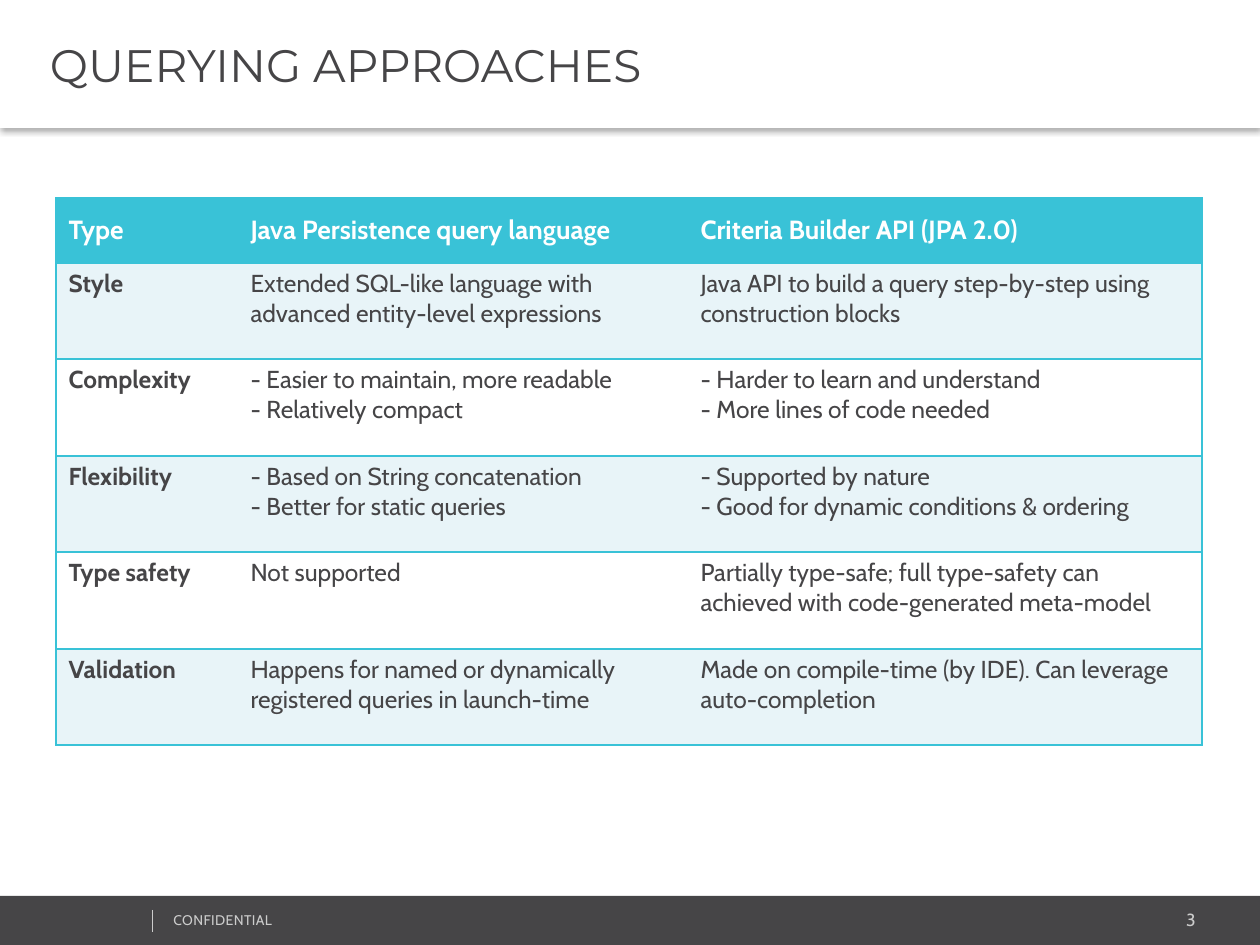
from lxml import etree
from pptx import Presentation
from pptx.dml.color import RGBColor
from pptx.enum.shapes import MSO_CONNECTOR, MSO_SHAPE
from pptx.enum.text import MSO_ANCHOR, PP_ALIGN
from pptx.oxml import parse_xml
from pptx.oxml.ns import nsdecls, qn
from pptx.util import Emu, Pt

RECT = MSO_SHAPE.RECTANGLE
STRAIGHT = MSO_CONNECTOR.STRAIGHT
TOP, MIDDLE = MSO_ANCHOR.TOP, MSO_ANCHOR.MIDDLE
LEFT, RIGHT = PP_ALIGN.LEFT, PP_ALIGN.RIGHT
DARK = RGBColor(0x46, 0x45, 0x47)
GREY = RGBColor(0xCC, 0xCC, 0xCC)
TEAL = RGBColor(0x39, 0xC2, 0xD7)
PALE = RGBColor(0xE8, 0xF4, 0xF8)
WHITE = RGBColor(0xFF, 0xFF, 0xFF)
SCALE = 914400 / 126


def px(*values):
    return [Emu(round(v * SCALE)) for v in values]


def write(tf, text, align, size, name, color, bold=False):
    tf.text = text
    for p in tf.paragraphs:
        p.alignment = align
        for r in p.runs:
            style = {"size": Pt(size), "name": name, "bold": bold}
            for key, value in style.items():
                setattr(r.font, key, value)
            r.font.color.rgb = color


prs = Presentation()
prs.slide_width, prs.slide_height = px(1260, 945)
s = prs.slides.add_slide(prs.slide_layouts[6])

bars = []
for box, color in [((0, 896, 1260, 50), DARK), ((0, 0, 1260, 128), WHITE)]:
    sp = s.shapes.add_shape(RECT, *px(*box))
    sp.shadow.inherit = False
    sp.fill.solid()
    sp.fill.fore_color.rgb = color
    sp.line.fill.background()
    bars.append(sp)

title = bars[1]
title.element.spPr.find(qn("a:effectLst")).append(parse_xml(
    f'<a:outerShdw {nsdecls("a")} blurRad="39370" dist="25400" dir="5400000" '
    'algn="t" rotWithShape="0"><a:srgbClr val="000000"><a:alpha val="30000"/>'
    '</a:srgbClr></a:outerShdw>'))
tf = title.text_frame
tf.word_wrap = True
tf.vertical_anchor = MIDDLE
tf.margin_left = px(50)[0]
write(tf, "QUERYING APPROACHES", LEFT, 26, "Montserrat", DARK)

footers = [
    ((1003, 903, 205, 34), "3", RIGHT, 10, 0),
    ((161, 905, 319, 30), "CONFIDENTIAL", LEFT, 8, 20),
]
for box, text, align, size, spacing in footers:
    tf = s.shapes.add_textbox(*px(*box)).text_frame
    tf.word_wrap = True
    write(tf, text, align, size, "Cabin", GREY)
    tf.paragraphs[0].runs[0].font._element.set("spc", str(spacing))

line = s.shapes.add_connector(STRAIGHT, *px(152, 910, 152, 932))
line.line.color.rgb = GREY
line.line.width = Pt(0.25)
etree.SubElement(line._element.spPr, qn("a:effectLst"))

rows = [
    ("Type", "Java Persistence query language", "Criteria Builder API (JPA 2.0)"),
    ("Style", "Extended SQL-like language with advanced entity-level expressions",
     "Java API to build a query step-by-step using construction blocks"),
    ("Complexity", "- Easier to maintain, more readable\n- Relatively compact",
     "- Harder to learn and understand\n- More lines of code needed"),
    ("Flexibility", "- Based on String concatenation\n- Better for static queries",
     "- Supported by nature\n- Good for dynamic conditions & ordering"),
    ("Type safety", "Not supported",
     "Partially type-safe; full type-safety can achieved with code-generated meta-model"),
    ("Validation", "Happens for named or dynamically registered queries in launch-time",
     "Made on compile-time (by IDE). Can leverage auto-completion"),
]
widths = [182, 450, 514]
tops = [198, 263, 359, 456, 552, 649, 745]
table = s.shapes.add_table(
    len(rows), len(widths), *px(56, tops[0], sum(widths), tops[-1] - tops[0])).table
for col, width in zip(table.columns, px(*widths)):
    col.width = width
for i, texts in enumerate(rows):
    table.rows[i].height = px(tops[i + 1] - tops[i])[0]
    header = i == 0
    fill = TEAL if header else PALE if i % 2 else WHITE
    for j, text in enumerate(texts):
        cell = table.cell(i, j)
        cell.fill.solid()
        cell.fill.fore_color.rgb = fill
        cell.vertical_anchor = MIDDLE if header else TOP
        write(cell.text_frame, text, LEFT, 15 if header else 14, "Cabin",
              WHITE if header else DARK, header or j == 0)
        edges = {"lnL": j == 0, "lnR": j == len(widths) - 1, "lnT": True, "lnB": True}
        for k, (edge, drawn) in enumerate(edges.items()):
            paint = (f'<a:solidFill><a:srgbClr val="{TEAL}"/></a:solidFill>'
                     if drawn else "<a:noFill/>")
            cell._tc.tcPr.insert(k, parse_xml(
                f'<a:{edge} {nsdecls("a")} w="12700">{paint}</a:{edge}>'))

prs.save("out.pptx")
